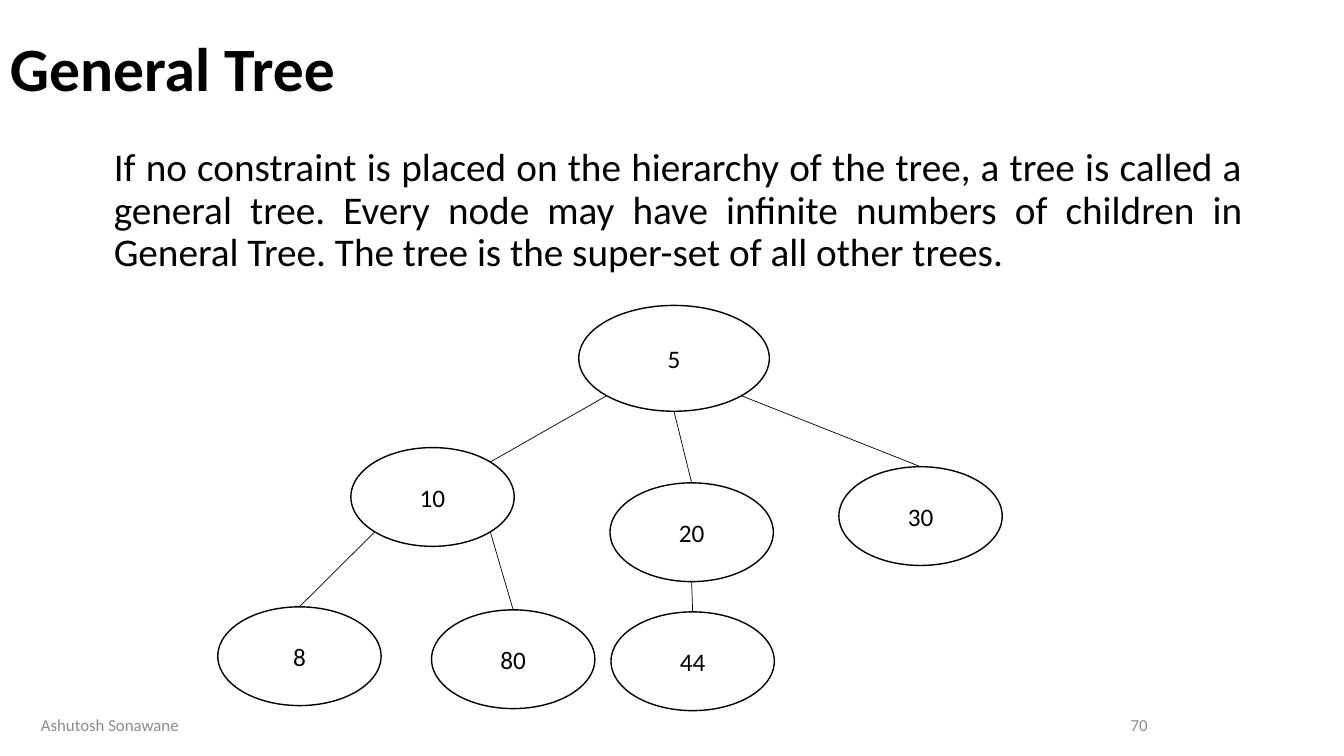
from dataclasses import dataclass
from math import sqrt

from lxml.etree import SubElement
from pptx import Presentation
from pptx.dml.color import RGBColor
from pptx.enum.shapes import MSO_CONNECTOR as Connector, MSO_SHAPE as Shape
from pptx.enum.text import MSO_ANCHOR as Anchor, PP_ALIGN as Align
from pptx.oxml.ns import qn
from pptx.util import Inches, Pt


@dataclass(frozen=True)
class Theme:
    font: str = "Calibri"
    ink: str = "000000"
    paper: str = "FFFFFF"
    muted: str = "8C8C8C"
    title: int = 44
    body: int = 28
    node: int = 18
    footer: int = 12
    outline: float = 1
    branch: float = 0.5


class TreeSlide:
    def __init__(self, slide, theme):
        self.slide = slide
        self.theme = theme
        self.tree = slide.shapes.add_group_shape().shapes

    def add_words(self, frame, text, size, color, align, bold=False, spacing=None):
        frame.word_wrap = True
        paragraph = frame.paragraphs[0]
        paragraph.alignment = align
        paragraph.line_spacing = spacing
        run = paragraph.add_run()
        run.text = text
        run.font.name = self.theme.font
        run.font.size = Pt(size)
        run.font.bold = bold
        run.font.color.rgb = RGBColor.from_string(color)

    def text(self, box, text, size, color, align, anchor=Anchor.MIDDLE, **style):
        frame = self.slide.shapes.add_textbox(*map(Inches, box)).text_frame
        frame.vertical_anchor = anchor
        self.add_words(frame, text, size, color, align, **style)

    def node(self, label, left, top, width=1.62, height=0.98):
        shape = self.tree.add_shape(
            Shape.OVAL, *map(Inches, (left, top, width, height)))
        shape.shadow.inherit = False
        shape.fill.solid()
        shape.fill.fore_color.rgb = RGBColor.from_string(self.theme.paper)
        shape.line.color.rgb = RGBColor.from_string(self.theme.ink)
        shape.line.width = Pt(self.theme.outline)
        shape.text_frame.vertical_anchor = Anchor.MIDDLE
        self.add_words(shape.text_frame, label, self.theme.node, self.theme.ink,
                       Align.CENTER)
        return shape

    def rim(self, shape, across, down):
        reach = sqrt(across ** 2 + down ** 2)
        return (int(shape.left + shape.width / 2 * (1 + across / reach)),
                int(shape.top + shape.height / 2 * (1 + down / reach)))

    def branch(self, parent, side, child, child_side):
        start = self.rim(parent, side, 1)
        end = self.rim(child, child_side, -1)
        connector = self.tree.add_connector(Connector.STRAIGHT, *start, *end)
        if child_side == 0:
            connector.end_connect(child, 0)
        connector.line.color.rgb = RGBColor.from_string(self.theme.ink)
        connector.line.width = Pt(self.theme.branch)
        SubElement(connector.element.spPr, qn("a:effectLst"))


NODES = {
    "5": (5.74, 3.03, 1.89, 1.05),
    "10": (3.48, 4.44),
    "20": (6.05, 4.79),
    "30": (8.32, 4.63),
    "8": (2.16, 6.02),
    "80": (4.28, 6.05),
    "44": (6.06, 6.07),
}

LEFT, MIDDLE, RIGHT = -1, 0, 1
BRANCHES = [
    ("5", LEFT, "10", RIGHT),
    ("5", RIGHT, "30", MIDDLE),
    ("5", MIDDLE, "20", MIDDLE),
    ("10", LEFT, "8", MIDDLE),
    ("10", RIGHT, "80", MIDDLE),
    ("20", MIDDLE, "44", MIDDLE),
]

DEFINITION = (
    "If no constraint is placed on the hierarchy of the tree, a tree is called "
    "a general tree. Every node may have infinite numbers of children in "
    "General Tree. The tree is the super-set of all other trees."
)


def main():
    presentation = Presentation()
    presentation.slide_width = Inches(13.33)
    presentation.slide_height = Inches(7.5)
    slide = presentation.slides.add_slide(presentation.slide_layouts[6])
    theme = Theme()
    page = TreeSlide(slide, theme)

    page.text((0, 0, 12.42, 1.42), "General Tree", theme.title, theme.ink,
              Align.LEFT, bold=True, spacing=0.9)
    page.text((1.03, 1.42, 11.39, 1.48), DEFINITION, theme.body, theme.ink,
              Align.JUSTIFY, anchor=Anchor.TOP, spacing=0.9)

    nodes = {label: page.node(label, *place) for label, place in NODES.items()}
    for parent, side, child, child_side in BRANCHES:
        page.branch(nodes[parent], side, nodes[child], child_side)

    page.text((0.24, 6.99, 1.7, 0.4), "Ashutosh Sonawane", theme.footer,
              theme.muted, Align.CENTER)
    page.text((8.48, 6.99, 3, 0.4), "70", theme.footer, theme.muted, Align.RIGHT)

    presentation.save("out.pptx")


if __name__ == "__main__":
    main()
